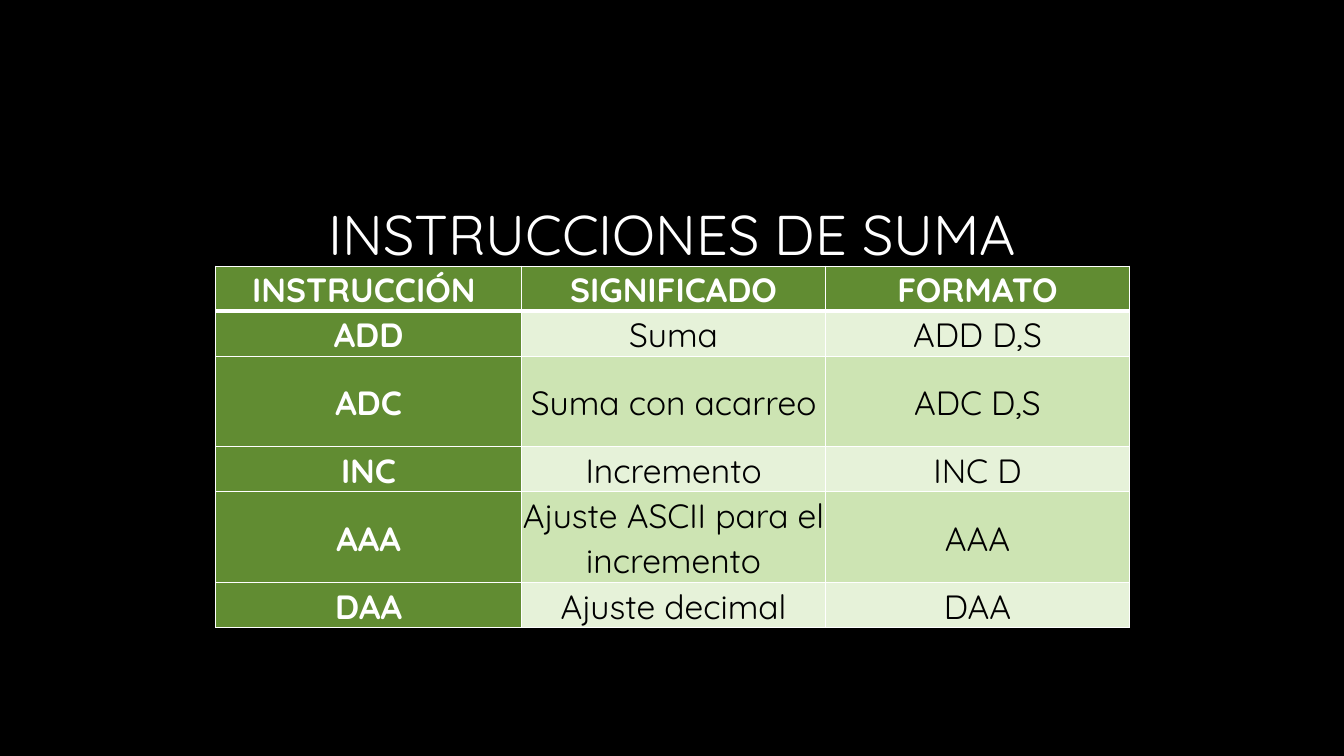
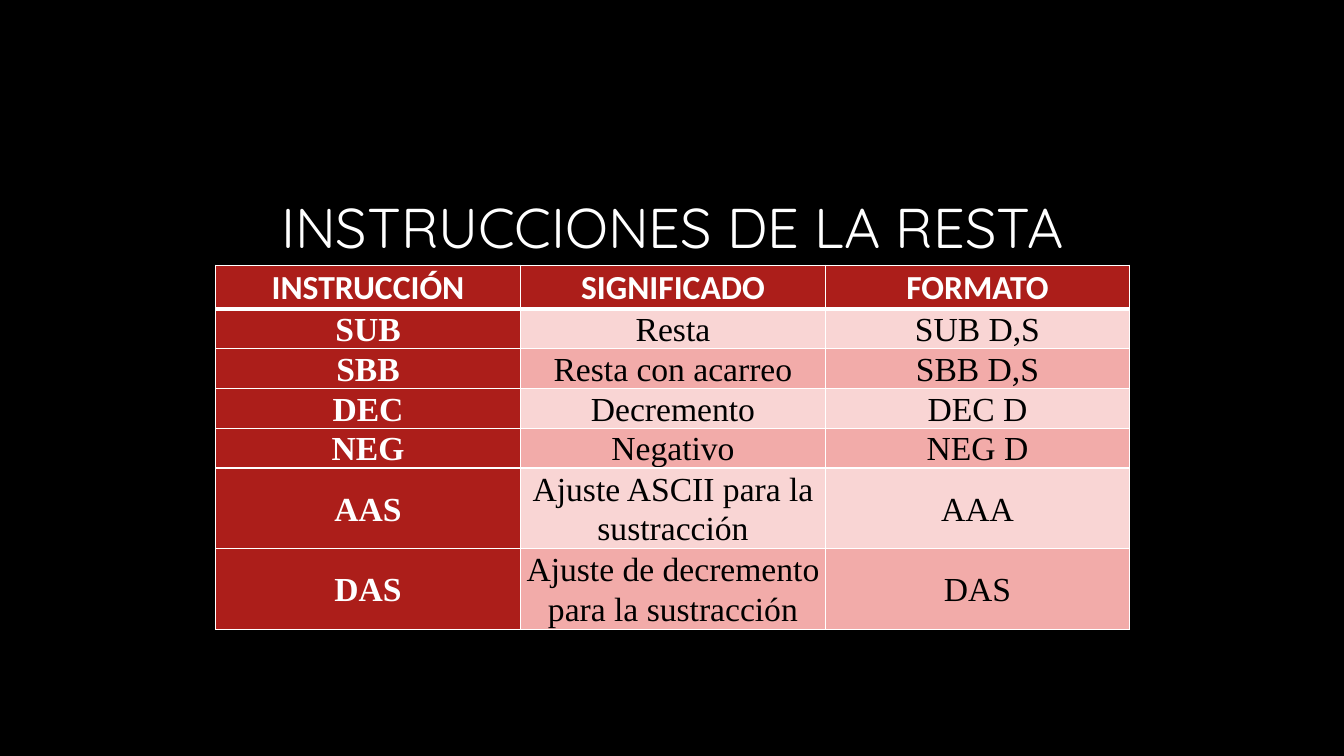
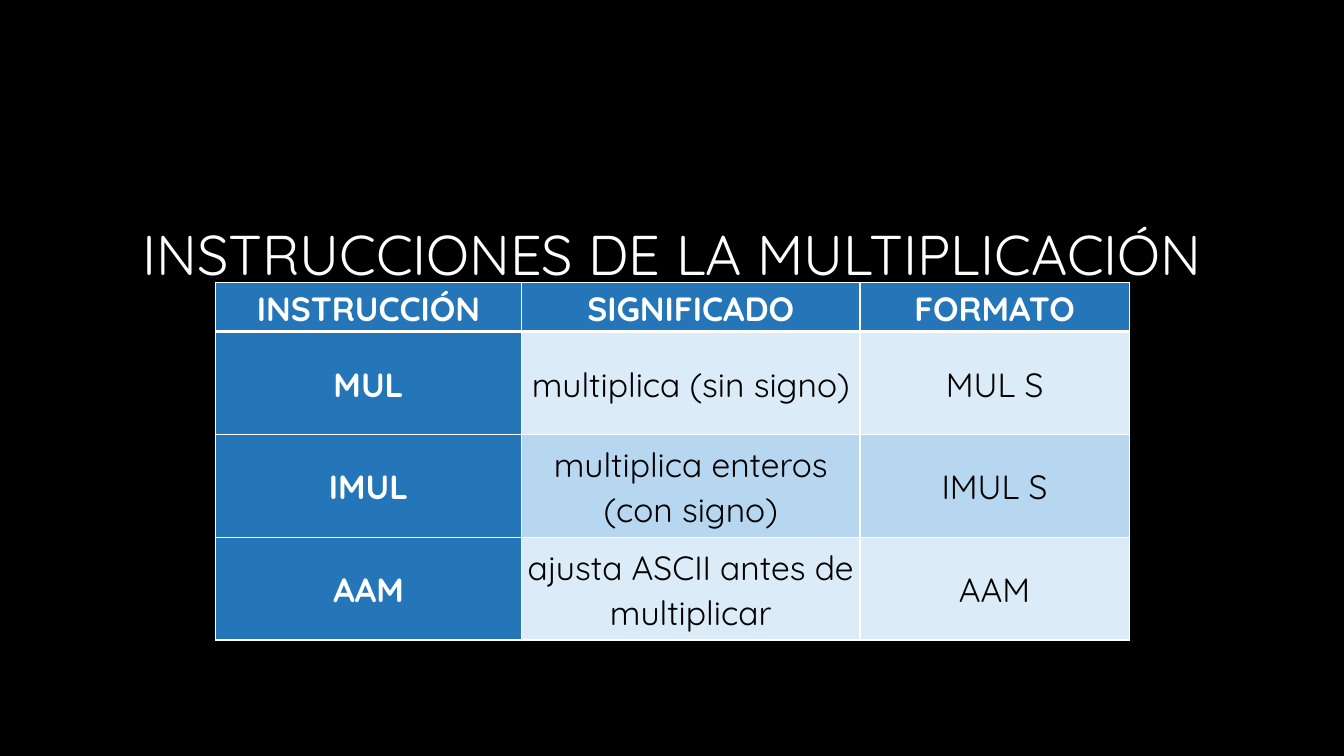
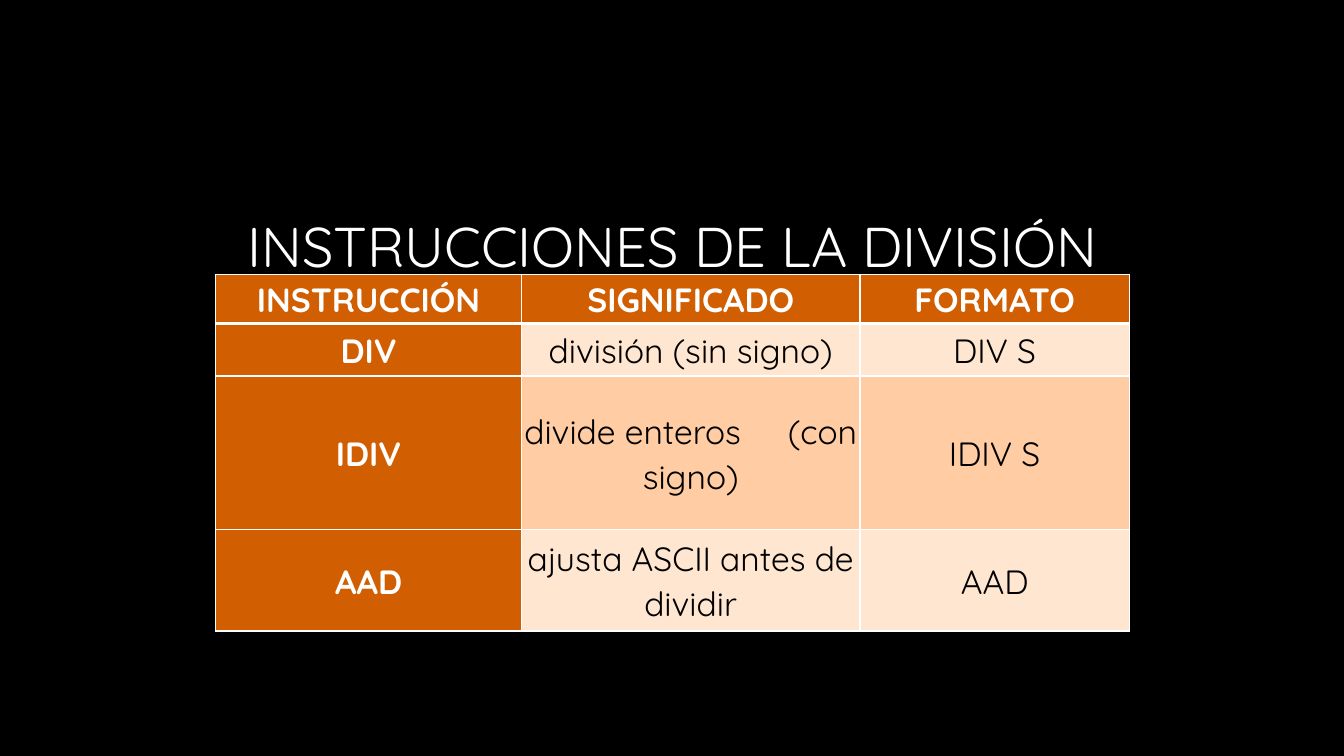
from lxml import etree
from pptx import Presentation
from pptx.dml.color import RGBColor
from pptx.enum.text import MSO_ANCHOR, PP_ALIGN
from pptx.oxml.ns import qn
from pptx.util import Inches, Pt

CENTER = PP_ALIGN.CENTER
MIDDLE = MSO_ANCHOR.MIDDLE
TITLE_ONLY = 5
TABLE_LEFT, TABLE_WIDTH = 2.14, 9.06
TITLE_HEIGHT = 1.41
GAP_SPACING = 27

COLORS = {
    "background": "000000",
    "light": "FFFFFF",
    "dark": "000000",
}
GREEN = {"strong": "618C32", "odd": "E6F2D9", "even": "CDE4B3"}
RED = {"strong": "AC1E1A", "odd": "F9D5D4", "even": "F2ABA9"}
BLUE = {"strong": "2476B9", "odd": "DBEBF8", "even": "B7D7F1"}
ORANGE = {"strong": "D15E01", "odd": "FFE6D1", "even": "FFCCA3"}

TITLE_FONT = {"name": "Quicksand", "size": Pt(40), "bold": False}
CELL_FONT = {"name": "Quicksand", "size": Pt(24)}
TITLE_PARAGRAPH = {"alignment": CENTER, "line_spacing": 0.9}
BODY_PARAGRAPH = {"alignment": CENTER, "line_spacing": 1.07, "space_after": Pt(0)}
HEADER_PARAGRAPH = {**BODY_PARAGRAPH, "space_after": Pt(8)}
CELL_FORMAT = {
    "vertical_anchor": MIDDLE,
    "margin_left": 0,
    "margin_right": 0,
    "margin_top": 0,
    "margin_bottom": 0,
}


def apply(target, values):
    for name, value in values.items():
        setattr(target, name, value)


class Deck:
    def __init__(self):
        self.prs = Presentation()
        self.prs.slide_width = Inches(13.33)
        self.prs.slide_height = Inches(7.5)
        fill = self.prs.slide_master.background.fill
        fill.solid()
        fill.fore_color.rgb = RGBColor.from_string(COLORS["background"])
        self.slide = None

    def add_slide(self):
        self.slide = self.prs.slides.add_slide(self.prs.slide_layouts[TITLE_ONLY])

    def run(self, p, text, color, font):
        r = p.add_run()
        r.text = text
        apply(r.font, font)
        r.font.color.rgb = RGBColor.from_string(color)
        return r

    def title(self, text, top, left=TABLE_LEFT, width=TABLE_WIDTH):
        sp = self.slide.shapes.title
        apply(sp, {
            "left": Inches(left),
            "top": Inches(top),
            "width": Inches(width),
            "height": Inches(TITLE_HEIGHT),
        })
        tf = sp.text_frame
        apply(tf, {"vertical_anchor": MIDDLE, "word_wrap": True})
        p = tf.paragraphs[0]
        apply(p, TITLE_PARAGRAPH)
        self.run(p, text, COLORS["light"], TITLE_FONT)

    def borders(self, cell, row):
        tcPr = cell._tc.get_or_add_tcPr()
        widths = {
            "a:lnL": 1,
            "a:lnR": 1,
            "a:lnT": 3 if row == 1 else 1,
            "a:lnB": 3 if row == 0 else 1,
        }
        for i, (tag, width) in enumerate(widths.items()):
            ln = etree.Element(qn(tag), w=str(Pt(width)))
            fill = etree.SubElement(ln, qn("a:solidFill"))
            etree.SubElement(fill, qn("a:srgbClr"), val=COLORS["light"])
            tcPr.insert(i, ln)

    def cell(self, cell, text, row, strong, fill, font):
        apply(cell, CELL_FORMAT)
        cell.fill.solid()
        cell.fill.fore_color.rgb = RGBColor.from_string(fill)
        self.borders(cell, row)
        p = cell.text_frame.paragraphs[0]
        apply(p, BODY_PARAGRAPH if row else HEADER_PARAGRAPH)
        color = COLORS["light" if strong else "dark"]
        font = {**CELL_FONT, "name": font, "bold": strong}
        parts = [text] if isinstance(text, str) else text
        for i, part in enumerate(parts):
            if i:
                gap = self.run(p, " ", color, font)
                gap._r.get_or_add_rPr().set("spc", str(GAP_SPACING * 100))
            self.run(p, part, color, font)

    def table(self, rows, top, widths, heights, palette,
              header_font="Quicksand", body_font="Quicksand"):
        frame = self.slide.shapes.add_table(
            len(rows), len(widths), Inches(TABLE_LEFT), Inches(top),
            Inches(TABLE_WIDTH), Inches(sum(heights)))
        table = frame.table
        for column, width in zip(table.columns, widths):
            column.width = Inches(width)
        for i, (texts, height) in enumerate(zip(rows, heights)):
            table.rows[i].height = Inches(height)
            font = body_font if i else header_font
            for j, text in enumerate(texts):
                strong = i == 0 or j == 0
                band = "strong" if strong else "odd" if i % 2 else "even"
                self.cell(table.cell(i, j), text, i, strong, palette[band], font)


HEADER = ("INSTRUCCIÓN", "SIGNIFICADO", "FORMATO")

SLIDES = [
    {
        "title": {"text": "INSTRUCCIONES DE SUMA", "top": 1.65},
        "table": {
            "top": 2.64,
            "widths": [3.03, 3.02, 3.01],
            "heights": [0.44, 0.44, 0.9, 0.44, 0.9, 0.44],
            "palette": GREEN,
            "rows": [
                ("INSTRUCCIÓN ", "SIGNIFICADO", "FORMATO"),
                ("ADD", "Suma", "ADD D,S"),
                ("ADC", "Suma con acarreo", "ADC D,S"),
                ("INC", "Incremento", "INC D"),
                ("AAA", "Ajuste ASCII para el incremento", "AAA"),
                ("DAA", "Ajuste decimal", "DAA"),
            ],
        },
    },
    {
        "title": {"text": "INSTRUCCIONES DE LA RESTA", "top": 1.58},
        "table": {
            "top": 2.63,
            "widths": [3.02, 3.03, 3.01],
            "heights": [0.43] + [0.39] * 4 + [0.8] * 2,
            "palette": RED,
            "header_font": "Calibri",
            "body_font": "Times New Roman",
            "rows": [
                HEADER,
                ("SUB", "Resta", "SUB D,S"),
                ("SBB", "Resta con acarreo", "SBB D,S"),
                ("DEC", "Decremento", "DEC D"),
                ("NEG", "Negativo", "NEG D"),
                ("AAS", "Ajuste ASCII para la sustracción", "AAA"),
                ("DAS", "Ajuste de decremento para la sustracción", "DAS"),
            ],
        },
    },
    {
        "title": {
            "text": "INSTRUCCIONES DE LA MULTIPLICACIÓN",
            "top": 1.85, "left": 1.23, "width": 10.87,
        },
        "table": {
            "top": 2.8,
            "widths": [3.03, 3.36, 2.67],
            "heights": [0.49] + [1.02] * 3,
            "palette": BLUE,
            "rows": [
                HEADER,
                ("MUL", "multiplica (sin signo)", "MUL S"),
                ("IMUL", "multiplica enteros (con signo)", "IMUL S"),
                ("AAM", "ajusta ASCII antes de multiplicar", "AAM"),
            ],
        },
    },
    {
        "title": {"text": "INSTRUCCIONES DE LA DIVISIÓN", "top": 1.77},
        "table": {
            "top": 2.72,
            "widths": [3.03, 3.36, 2.67],
            "heights": [0.49, 0.52, 1.52, 1.01],
            "palette": ORANGE,
            "rows": [
                HEADER,
                ("DIV", "división (sin signo)", "DIV S"),
                ("IDIV", ("divide enteros", "(con signo)"), "IDIV S"),
                ("AAD", "ajusta ASCII antes de dividir", "AAD"),
            ],
        },
    },
]


def main():
    deck = Deck()
    for content in SLIDES:
        deck.add_slide()
        deck.title(**content["title"])
        deck.table(**content["table"])
    deck.prs.save("out.pptx")


if __name__ == "__main__":
    main()
